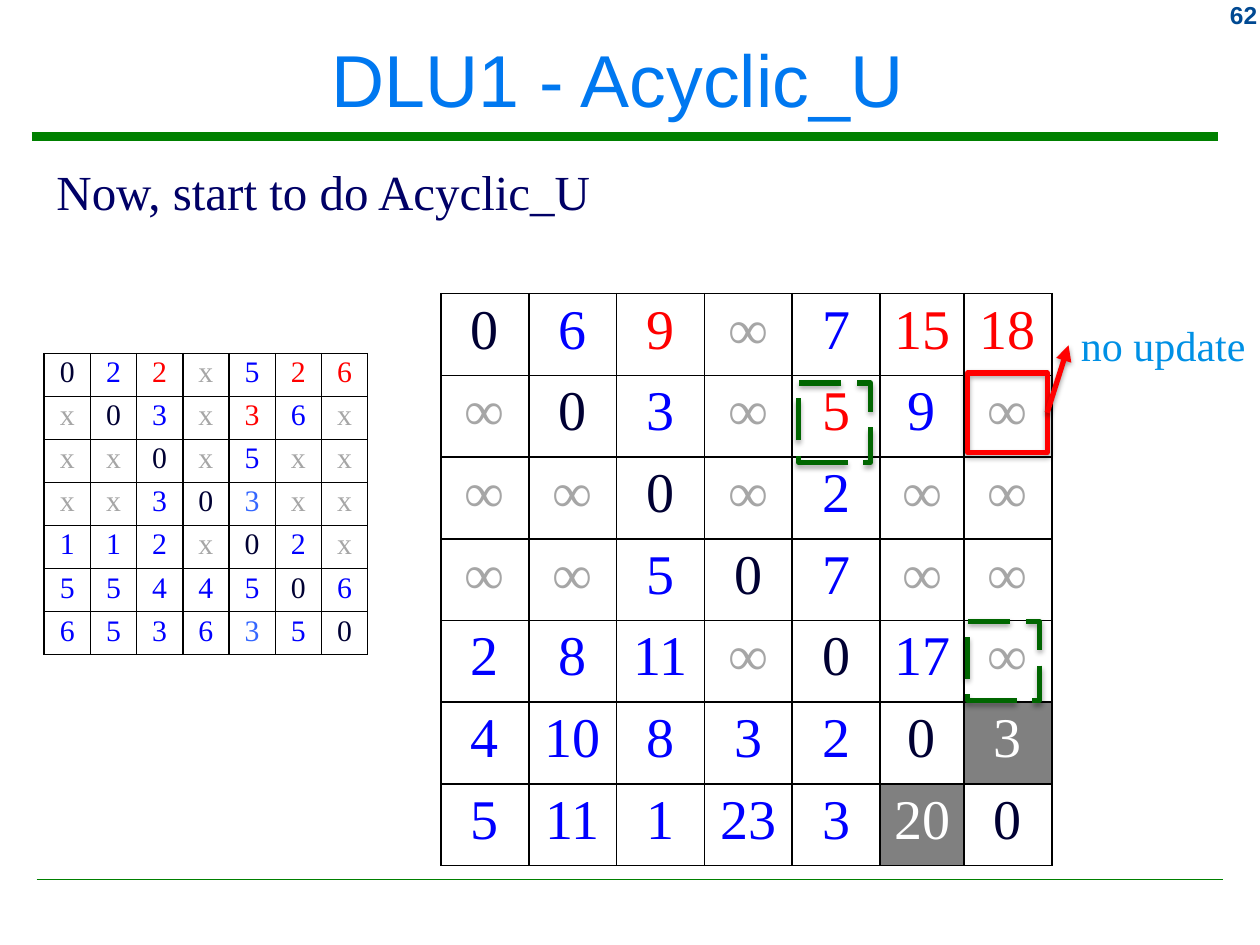
from dataclasses import dataclass

from lxml import etree
from pptx import Presentation
from pptx.dml.color import RGBColor
from pptx.enum import dml, shapes, text
from pptx.oxml import ns
from pptx.util import Pt


@dataclass(frozen=True)
class Theme:
    heading_font: str = "Arial"
    body_font: str = "Times New Roman"
    title: str = "0078F0"
    page: str = "004992"
    body: str = "000066"
    note: str = "0090E5"
    rule: str = "008000"
    grid: str = "000000"
    diagonal: str = "000033"
    value: str = "0000FF"
    light_value: str = "3366FF"
    changed: str = "FF0000"
    missing: str = "A6A6A6"
    operand: str = "006600"
    paper: str = "FFFFFF"
    shade: str = "808080"
    title_size: float = 42
    body_size: float = 28
    note_size: float = 24
    page_size: float = 14
    small_size: float = 17
    large_size: float = 32


def add_xml(parent, tag, **values):
    element = etree.SubElement(parent, ns.qn(tag))
    for name, value in values.items():
        element.set(name, str(value))
    return element


class SlideBuilder:
    def __init__(self, slide, theme):
        self.slide = slide
        self.theme = theme

    def apply(self, target, values):
        for name, value in values.items():
            setattr(target, name, value)

    def add_words(self, frame, words, size, color, font=None, bold=False,
                  align=text.PP_ALIGN.LEFT):
        para = frame.paragraphs[0]
        para.alignment = align
        span = para.add_run()
        span.text = words
        self.apply(span.font, {"name": font or self.theme.body_font,
                               "size": Pt(size), "bold": bold})
        span.font.color.rgb = RGBColor.from_string(color)

    def place(self, item, at):
        names = ("left", "top", "width", "height")
        self.apply(item, {name: Pt(value) for name, value in zip(names, at)})

    def title(self, words, at):
        box = self.slide.shapes.title
        self.place(box, at)
        box.text_frame.vertical_anchor = text.MSO_ANCHOR.MIDDLE
        self.add_words(box.text_frame, words, self.theme.title_size, self.theme.title,
                       self.theme.heading_font, align=text.PP_ALIGN.CENTER)

    def label(self, words, at, size, color, parent=None, wrap=False, **style):
        box = (parent or self.slide).shapes.add_textbox(*map(Pt, at))
        self.apply(box.text_frame, {
            "word_wrap": wrap,
            "auto_size": text.MSO_AUTO_SIZE.SHAPE_TO_FIT_TEXT})
        self.add_words(box.text_frame, words, size, color, **style)
        return box

    def stroke(self, item, color, width, dash=None):
        item.line.color.rgb = RGBColor.from_string(color)
        self.apply(item.line, {"width": Pt(width), "dash_style": dash})

    def shadow(self, effects, alpha, distance):
        shade = add_xml(effects, "a:outerShdw", blurRad=Pt(3.1), dist=Pt(distance),
                        dir=90 * 60000, rotWithShape=0)
        color = add_xml(shade, "a:srgbClr", val="000000")
        add_xml(color, "a:alpha", val=alpha * 1000)

    def line(self, start, end, color, width, parent=None):
        line = (parent or self.slide).shapes.add_connector(
            shapes.MSO_CONNECTOR.STRAIGHT, *map(Pt, (*start, *end)))
        self.stroke(line, color, width)
        add_xml(line._element.spPr, "a:effectLst")
        return line

    def arrow(self, source, target, color, width, parent):
        line = self.line((0, 0), (0, 0), color, width, parent)
        line.begin_connect(source, 3)
        line.end_connect(target, 1)
        add_xml(line.line._get_or_add_ln(), "a:tailEnd", type="triangle")
        self.shadow(line._element.spPr.find(ns.qn("a:effectLst")), 38, 1.6)

    def frame(self, at, color, dash=None, parent=None):
        box = (parent or self.slide).shapes.add_shape(
            shapes.MSO_SHAPE.RECTANGLE, *map(Pt, at))
        box.fill.background()
        self.stroke(box, color, 3, dash)
        box.shadow.inherit = False
        self.shadow(box._element.spPr.find(ns.qn("a:effectLst")), 35, 1.8)
        return box

    def cell_borders(self, cell):
        properties = cell._tc.get_or_add_tcPr()
        for side in ("a:lnL", "a:lnR", "a:lnT", "a:lnB"):
            border = add_xml(properties, side, w=Pt(1))
            fill = add_xml(border, "a:solidFill")
            add_xml(fill, "a:srgbClr", val=self.theme.grid)

    def matrix(self, rows, at, widths, size, margins, special, shaded=()):
        theme = self.theme
        table = self.slide.shapes.add_table(
            len(rows), len(widths), *map(Pt, at)).table
        self.apply(table, {"first_row": False, "horz_banding": False})
        for column, width in zip(table.columns, widths):
            column.width = Pt(width)
        for r, values in enumerate(rows):
            table.rows[r].height = Pt(at[3] / len(rows))
            for c, value in enumerate(values):
                cell = table.cell(r, c)
                self.apply(cell, {f"margin_{side}": Pt(margins[side in ("top", "bottom")])
                                  for side in ("left", "right", "top", "bottom")})
                self.cell_borders(cell)
                cell.fill.solid()
                cell.fill.fore_color.rgb = RGBColor.from_string(
                    theme.shade if (r, c) in shaded else theme.paper)
                if r == c:
                    color = theme.diagonal
                elif value in ("x", "∞"):
                    color = theme.missing
                elif (r, c) in shaded:
                    color = theme.paper
                else:
                    color = special.get((r, c), theme.value)
                self.add_words(cell.text_frame, value, size, color,
                               align=text.PP_ALIGN.CENTER)


WEIGHTS = """
0 2 2 x 5 2 6
x 0 3 x 3 6 x
x x 0 x 5 x x
x x 3 0 3 x x
1 1 2 x 0 2 x
5 5 4 4 5 0 6
6 5 3 6 3 5 0
"""
DISTANCES = """
0 6 9 ∞ 7 15 18
∞ 0 3 ∞ 5 9 ∞
∞ ∞ 0 ∞ 2 ∞ ∞
∞ ∞ 5 0 7 ∞ ∞
2 8 11 ∞ 0 17 ∞
4 10 8 3 2 0 3
5 11 1 23 3 20 0
"""


def split_rows(block):
    return [row.split() for row in block.strip().splitlines()]


def main():
    deck = Presentation()
    deck.slide_width, deck.slide_height = Pt(720), Pt(540)
    theme = Theme()
    page = SlideBuilder(deck.slides.add_slide(deck.slide_layouts[5]), theme)

    # Heading, rules and page number
    page.line((18, 77.8), (696, 77.8), theme.rule, 5.25)
    page.line((21, 502.5), (699, 502.5), theme.rule, 1)
    page.label("62", (660, -3.6, 65.5, 24), theme.page_size, theme.page, wrap=True,
               font=theme.heading_font, bold=True, align=text.PP_ALIGN.RIGHT)
    page.title("DLU1 - Acyclic_U ", (6, 6.5, 705.5, 76.5))
    page.label("Now, start to do Acyclic_U", (25.2, 88.6, 324, 41),
               theme.body_size, theme.body)

    # Weight and distance matrices
    changed = dict.fromkeys([(0, 2), (0, 5), (0, 6), (1, 4)], theme.changed)
    light = dict.fromkeys([(3, 4), (6, 4)], theme.light_value)
    page.matrix(split_rows(WEIGHTS), (25.2, 202, 185, 172.2), [185 / 7] * 7,
                theme.small_size, (3.6, 1.6), changed | light)
    page.matrix(split_rows(DISTANCES), (252, 167.8, 349.2, 327),
                [50.2] * 5 + [48, 50.2], theme.large_size, (6.5, 3.1), changed,
                shaded=[(5, 6), (6, 5)])

    # Target cell with its remark
    remark = page.slide.shapes.add_group_shape()
    target = page.frame((553, 213.1, 45.4, 45.4), theme.changed, parent=remark)
    note = page.label("no update", (610.6, 179.3, 109.4, 36), theme.note_size,
                      theme.note, remark)
    page.arrow(target, note, theme.changed, 3, remark)

    # Operand cells
    for left, top in ((456.5, 218.9), (553, 355)):
        page.frame((left, top, 41, 45.4), theme.operand, dml.MSO_LINE.LONG_DASH)

    deck.save("out.pptx")


if __name__ == "__main__":
    main()
